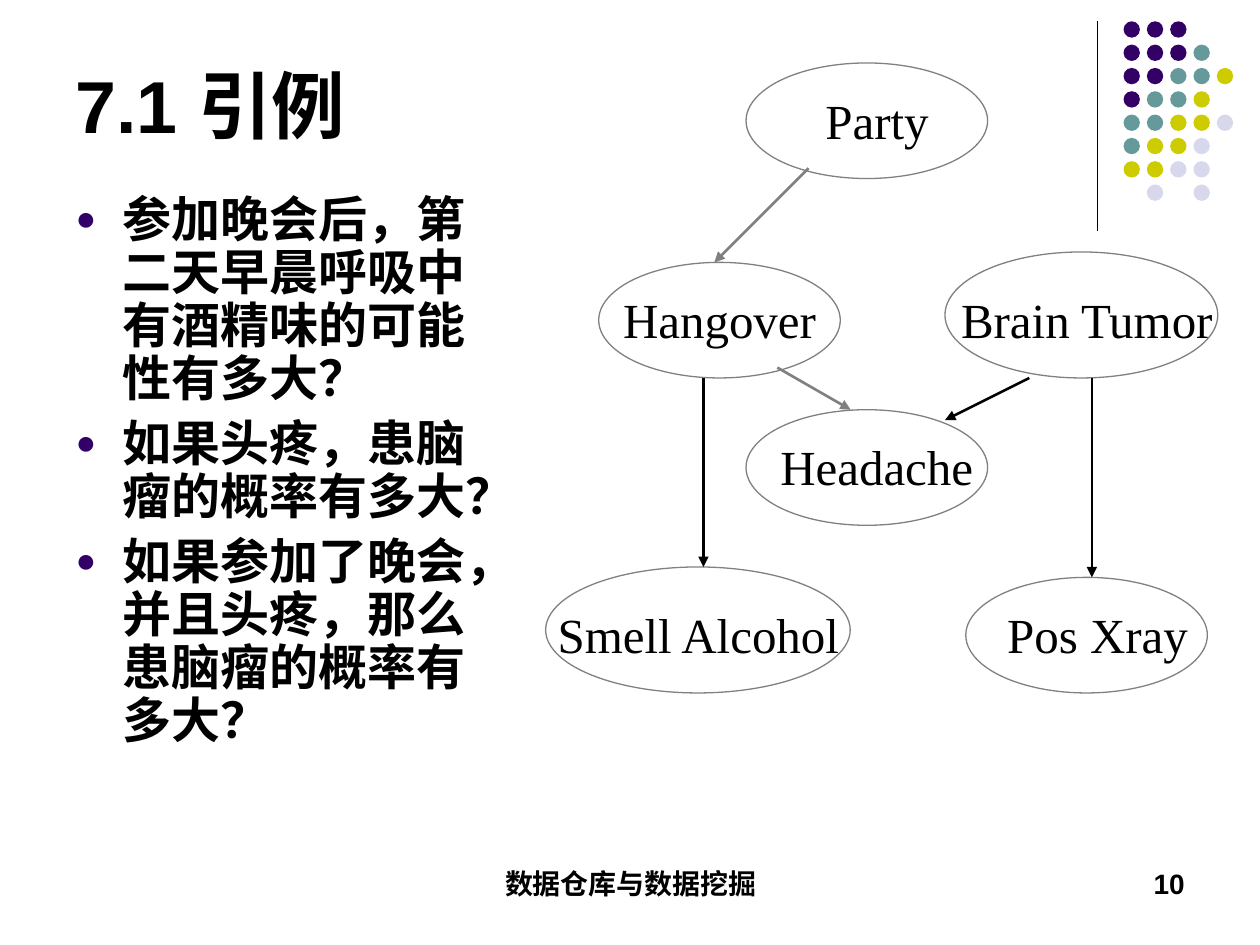
from lxml import etree
from pptx import Presentation
from pptx.dml.color import RGBColor
from pptx.enum.shapes import MSO_CONNECTOR, MSO_SHAPE
from pptx.enum.text import MSO_ANCHOR, MSO_AUTO_SIZE, PP_ALIGN
from pptx.oxml.ns import qn
from pptx.util import Cm, Pt

ELLIPSE, STRAIGHT = MSO_SHAPE.OVAL, MSO_CONNECTOR.STRAIGHT
LEFT, CENTER, RIGHT = PP_ALIGN.LEFT, PP_ALIGN.CENTER, PP_ALIGN.RIGHT
TOP, BOTTOM = MSO_ANCHOR.TOP, MSO_ANCHOR.BOTTOM
NO_AUTOFIT = MSO_AUTO_SIZE.NONE

COLORS = {"black": "000000", "gray": "808080", "purple": "330066",
          "teal": "669999", "olive": "CCCC00", "lavender": "D8D8EC"}
DOT_COLORS = {"p": "purple", "t": "teal", "o": "olive", "l": "lavender"}
DOT_ROWS = ["ppp", "pppt", "pptto", "ptto", "ttool", "tool", "ooll", " l l"]

QUESTIONS = ["参加晚会后，第二天早晨呼吸中有酒精味的可能性有多大？",
             "如果头疼，患脑瘤的概率有多大？",
             "如果参加了晚会，并且头疼，那么患脑瘤的概率有多大？"]

# Name, ellipse (left, top, width, height), label (left, top, width), in cm
NODES = [
    ("Party", (4.24, 0, 4.87, 2.33), (5.51, 0.43, 2.74)),
    ("Hangover", (1.27, 4.02, 4.87, 2.33), (1.48, 4.44, 4.45)),
    ("Brain Tumor", (8.25, 3.81, 5.5, 2.54), (8.25, 4.44, 5.72)),
    ("Headache", (4.24, 6.99, 4.87, 2.33), (4.65, 7.41, 4.45)),
    ("Smell Alcohol", (0.2, 10.16, 6.14, 2.54), (0, 10.8, 6.56)),
    ("Pos Xray", (8.67, 10.37, 4.87, 2.33), (9.1, 10.8, 4.45)),
]
# Start, end, colour
ARROWS = [
    ((5.5, 2.12), (3.6, 4.02), "gray"),
    ((4.87, 6.14), (6.35, 6.99), "gray"),
    ((9.95, 6.35), (8.25, 7.2), "black"),
    ((3.38, 6.35), (3.38, 10.16), "black"),
    ((11.21, 6.35), (11.21, 10.37), "black"),
]


def rgb(name):
    return RGBColor.from_string(COLORS[name])


def place(shape, left, top, width, height):
    shape.left, shape.top = Cm(left), Cm(top)
    shape.width, shape.height = Cm(width), Cm(height)


def add_run(paragraph, text, size, font="Arial", bold=True):
    run = paragraph.add_run()
    run.text = text
    run.font.name, run.font.size, run.font.bold = font, Pt(size), bold
    run.font.color.rgb = rgb("black")


def add_label(slide, box, text, align, size, font="Arial", bold=True):
    label = slide.shapes.add_textbox(*map(Cm, box))
    label.text_frame.word_wrap = True
    paragraph = label.text_frame.paragraphs[0]
    paragraph.alignment = align
    add_run(paragraph, text, size, font, bold)


def add_ellipse(slide, box, fill=None, outline=None):
    ellipse = slide.shapes.add_shape(ELLIPSE, *map(Cm, box))
    ellipse.shadow.inherit = False
    if fill:
        ellipse.fill.solid()
        ellipse.fill.fore_color.rgb = rgb(fill)
    else:
        ellipse.fill.background()
    if outline:
        ellipse.line.color.rgb = rgb(outline)
        ellipse.line.width = Pt(0.75)
    else:
        ellipse.line.fill.background()


def add_line(slide, start, end, color, width, arrow=False):
    line = slide.shapes.add_connector(STRAIGHT, *map(Cm, (*start, *end)))
    line.line.color.rgb = rgb(color)
    line.line.width = Pt(width)
    properties = line.line._get_or_add_ln()
    if arrow:
        etree.SubElement(properties, qn("a:tailEnd"), type="triangle")
    etree.SubElement(properties.getparent(), qn("a:effectLst"))


def add_bullet(paragraph):
    properties = paragraph._p.get_or_add_pPr()
    properties.set("marL", str(Cm(0.95)))
    properties.set("indent", str(-Cm(0.95)))
    color = etree.SubElement(properties, qn("a:buClr"))
    etree.SubElement(color, qn("a:srgbClr"), val=COLORS["purple"])
    etree.SubElement(properties, qn("a:buSzPct"), val="70000")
    etree.SubElement(properties, qn("a:buFont"), typeface="Arial")
    etree.SubElement(properties, qn("a:buChar"), char="●")


def build_ornament(slide, left, top):
    """Vertical rule with the dot grid to its right."""
    add_line(slide, (left, top), (left, top + 4.22), "black", 0.75)
    pitch, size = 0.47, 0.33
    for row, codes in enumerate(DOT_ROWS):
        for column, code in enumerate(codes):
            if code in DOT_COLORS:
                box = (left + 0.53 + column * pitch, top + row * pitch, size, size)
                add_ellipse(slide, box, fill=DOT_COLORS[code])


def build_title(slide, box):
    title = slide.shapes.title
    place(title, *box)
    frame = title.text_frame
    frame.auto_size, frame.vertical_anchor = NO_AUTOFIT, BOTTOM
    frame.paragraphs[0].alignment = LEFT
    add_run(frame.paragraphs[0], "7.1 引例", 42)


def build_questions(slide, box):
    body = slide.placeholders[1]
    place(body, *box)
    frame = body.text_frame
    frame.auto_size, frame.vertical_anchor = NO_AUTOFIT, TOP
    for index, question in enumerate(QUESTIONS):
        paragraph = frame.add_paragraph() if index else frame.paragraphs[0]
        add_bullet(paragraph)
        paragraph.line_spacing = 0.9
        paragraph.space_before = Pt(7 if index else 0)
        add_run(paragraph, question, 28)


def build_network(slide, left, top):
    """Belief network: nodes first, then the arrows between them."""
    for name, (x, y, width, height), (label_x, label_y, label_width) in NODES:
        add_ellipse(slide, (left + x, top + y, width, height), outline="gray")
        add_label(slide, (left + label_x, top + label_y, label_width, 1.45),
                  name, CENTER, 28, "Times New Roman", False)
    for start, end, color in ARROWS:
        add_line(slide, (left + start[0], top + start[1]),
                 (left + end[0], top + end[1]), color, 1.5, arrow=True)


def build_footer(slide, top):
    add_label(slide, (8.69, top, 8.05, 1.27), "数据仓库与数据挖掘", CENTER, 16)
    add_label(slide, (18.21, top, 5.92, 1.27), "10", RIGHT, 16)


def main():
    presentation = Presentation()
    presentation.slide_width, presentation.slide_height = Cm(25.4), Cm(19.05)
    slide = presentation.slides.add_slide(presentation.slide_layouts[1])
    build_ornament(slide, 22.12, 0.43)
    build_footer(slide, 17.35)
    build_title(slide, (1.27, 0.33, 20.95, 2.79))
    build_questions(slide, (1.27, 3.81, 9.32, 12.5))
    build_network(slide, 10.8, 1.27)
    presentation.save("out.pptx")


if __name__ == "__main__":
    main()
